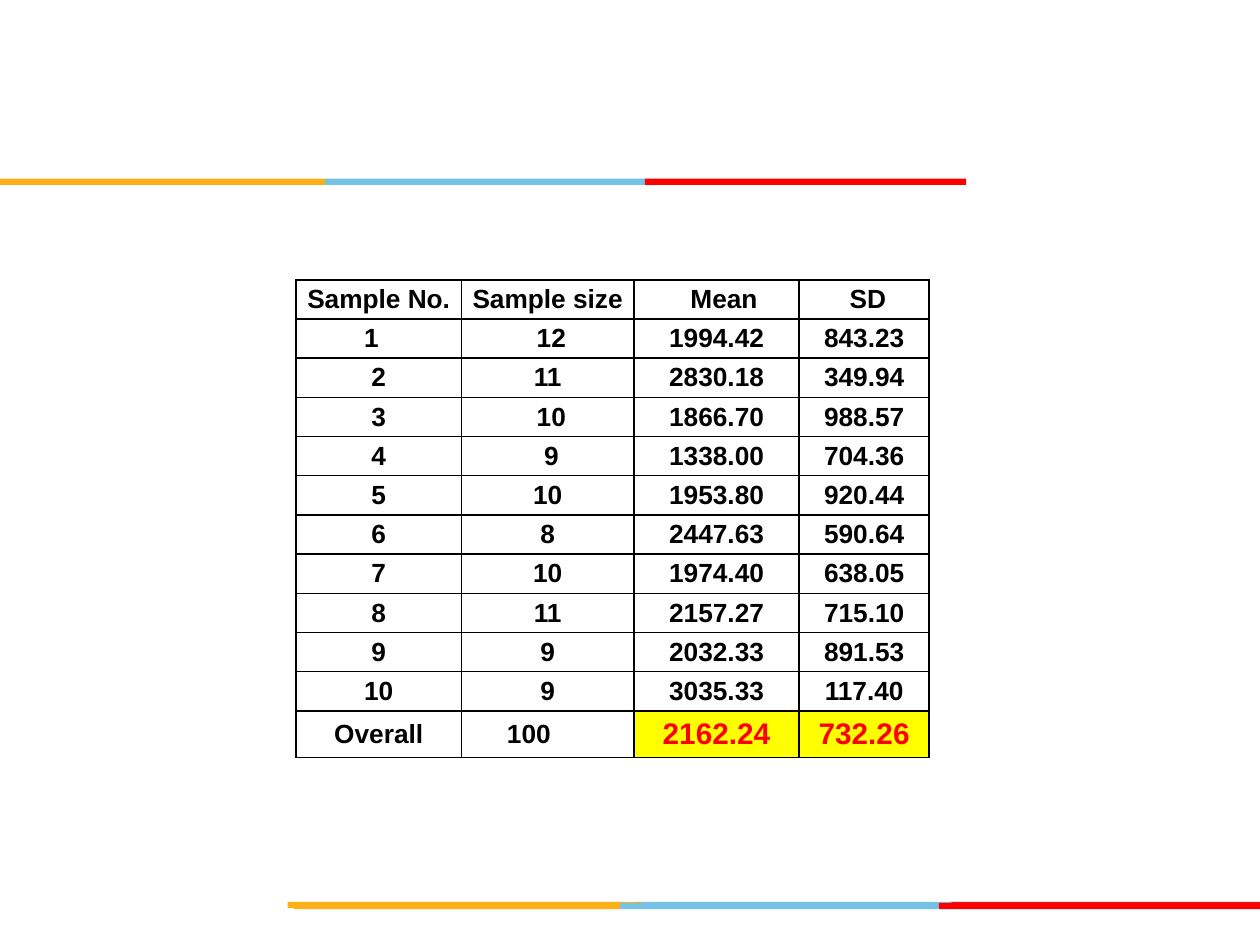
from pptx import Presentation
from pptx.dml.color import RGBColor as Rgb
from pptx.enum.shapes import MSO_SHAPE as Kind
from pptx.enum.text import MSO_ANCHOR as Anchor, PP_ALIGN as Align
from pptx.oxml import parse_xml
from pptx.oxml.ns import nsdecls
from pptx.util import Cm, Pt

HUES = {
    "gold": "FCB017", "blue": "76C2E5", "brick": "E31C24", "red": "FF0000",
    "black": "000000", "yellow": "FFFF00",
}

# Bands: top edge, then (left, width, hue) of each bar from back to front
BANDS = [
    (18.18, [(12.85, 6.48, "blue"), (19.18, 6.22, "brick"), (5.8, 7.15, "gold")]),
    (18.2, [(12.5, 6.47, "blue"), (5.93, 6.57, "gold"), (18.93, 6.47, "red")]),
    (3.6, [(6.55, 6.47, "blue"), (0, 6.55, "gold"), (13, 6.48, "red")]),
]

COLS = [3.33, 3.48, 3.33, 2.62]
ROW, LAST = 0.79, 0.94
ROWS = [
    ["Sample No.", "Sample size", "Mean", "SD"],
    ["1", "12", "1994.42", "843.23"],
    ["2", "11", "2830.18", "349.94"],
    ["3", "10", "1866.70", "988.57"],
    ["4", "9", "1338.00", "704.36"],
    ["5", "10", "1953.80", "920.44"],
    ["6", "8", "2447.63", "590.64"],
    ["7", "10", "1974.40", "638.05"],
    ["8", "11", "2157.27", "715.10"],
    ["9", "9", "2032.33", "891.53"],
    ["10", "9", "3035.33", "117.40"],
    ["Overall", "100", "2162.24", "732.26"],
]

# Extra left and right insets of cells that sit off centre
SHIFTS = {
    (0, 2): (0.3, 0), (0, 3): (0.15, 0), (1, 0): (0, 0.3), (1, 1): (0.15, 0),
    (3, 1): (0.15, 0), (4, 1): (0.15, 0), (11, 1): (0.74, 0),
}


def tint(name):
    return Rgb.from_string(HUES[name])


def add_band(slide, top, bars):
    for left, width, hue in bars:
        bar = slide.shapes.add_shape(
            Kind.RECTANGLE, Cm(left), Cm(top), Cm(width), Cm(0.13))
        bar.shadow.inherit = False
        bar.fill.solid()
        bar.fill.fore_color.rgb = tint(hue)
        bar.line.fill.background()


def add_rules(cell):
    props = cell._tc.get_or_add_tcPr()
    for side in "LRTB":
        props.append(parse_xml(
            f'<a:ln{side} {nsdecls("a")} w="12700"><a:solidFill>'
            f'<a:srgbClr val="{HUES["black"]}"/></a:solidFill></a:ln{side}>'))


def fill_cell(cell, text, shift, total, align):
    add_rules(cell)
    if total:
        cell.fill.solid()
        cell.fill.fore_color.rgb = tint("yellow")
    else:
        cell.fill.background()
    cell.vertical_anchor = Anchor.MIDDLE
    cell.margin_left, cell.margin_right = (Cm(0.18 + gap) for gap in shift)
    cell.margin_top = cell.margin_bottom = Cm(0.08)
    para = cell.text_frame.paragraphs[0]
    para.alignment = align
    run = para.add_run()
    run.text = text
    font = run.font
    font.name, font.bold = "Arial", True
    font.size = Pt(17 if total else 15)
    font.color.rgb = tint("red" if total else "black")


def add_grid(slide):
    end = len(ROWS) - 1
    frame = slide.shapes.add_table(
        len(ROWS), len(COLS), Cm(5.97), Cm(5.64),
        Cm(sum(COLS)), Cm(ROW * end + LAST))
    table = frame.table
    table.first_row = table.horz_banding = False
    for col, width in zip(table.columns, COLS):
        col.width = Cm(width)
    for i, texts in enumerate(ROWS):
        table.rows[i].height = Cm(LAST if i == end else ROW)
        for j, text in enumerate(texts):
            align = Align.LEFT if (i, j) == (end, 1) else Align.CENTER
            fill_cell(table.cell(i, j), text, SHIFTS.get((i, j), (0, 0)),
                      i == end and j > 1, align)


def main():
    deck = Presentation()
    deck.slide_width, deck.slide_height = Cm(25.4), Cm(19.05)
    slide = deck.slides.add_slide(deck.slide_layouts[6])
    # Coloured bands
    for top, bars in BANDS:
        add_band(slide, top, bars)
    # Table of samples
    add_grid(slide)
    deck.save("out.pptx")


main()
